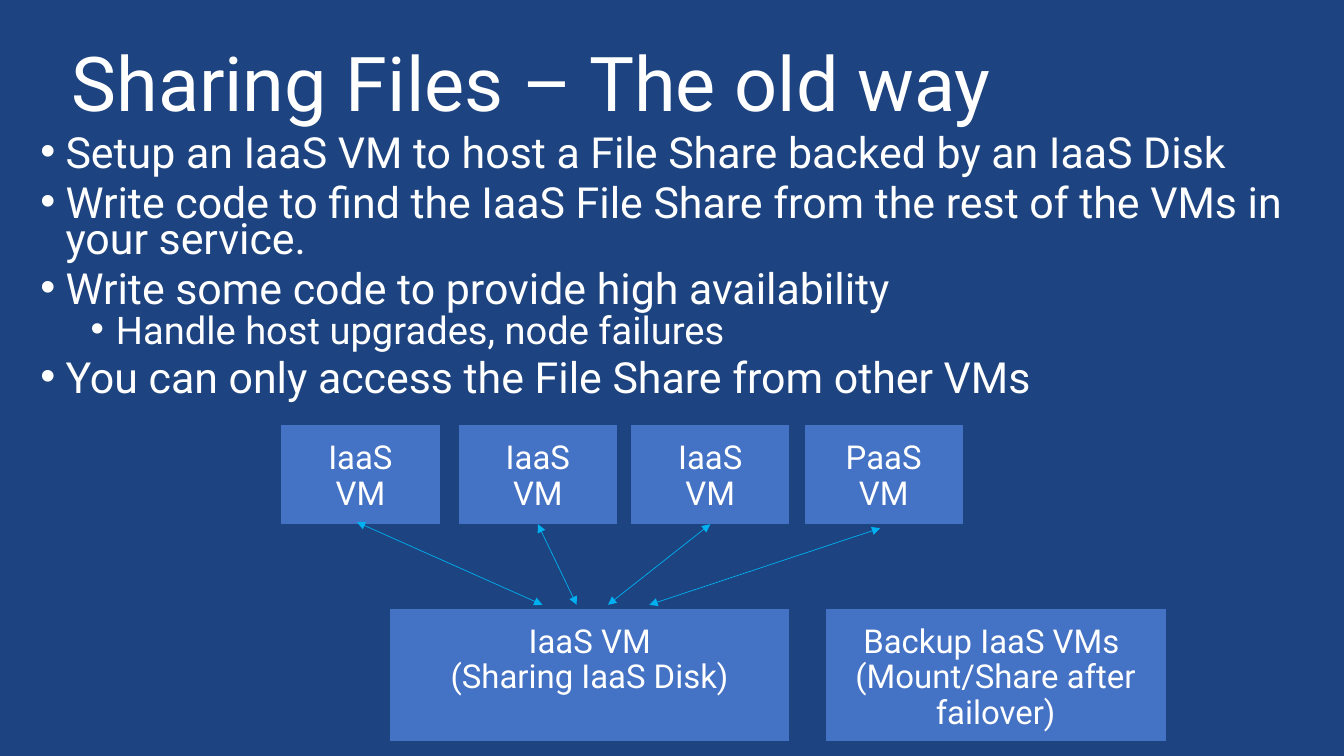
from lxml import etree
from pptx import Presentation
from pptx.dml.color import RGBColor
from pptx.enum.shapes import MSO_CONNECTOR, MSO_SHAPE
from pptx.enum.text import MSO_ANCHOR, MSO_AUTO_SIZE, PP_ALIGN
from pptx.oxml.ns import qn
from pptx.util import Inches, Pt

NAVY = RGBColor(0x1D, 0x43, 0x80)
BLUE = RGBColor(0x44, 0x72, 0xC4)
CYAN = RGBColor(0x00, 0xB0, 0xF0)
WHITE = RGBColor(0xFF, 0xFF, 0xFF)
FONT = "Roboto"

PROCESS = MSO_SHAPE.FLOWCHART_PROCESS
STRAIGHT = MSO_CONNECTOR.STRAIGHT
TOP = MSO_ANCHOR.TOP
NO_AUTOFIT = MSO_AUTO_SIZE.NONE
LEFT, CENTER = PP_ALIGN.LEFT, PP_ALIGN.CENTER
BOTTOM_SITE = 2

TITLE = "Sharing Files – The old way"
BULLETS = [
    (0, "Setup an IaaS VM to host a File Share backed by an IaaS Disk"),
    (0, "Write code to find the IaaS File Share from the rest of the VMs in your service."),
    (0, "Write some code to provide high availability"),
    (1, "Handle host upgrades, node failures"),
    (0, "You can only access the File Share from other VMs"),
]
# Size, space before and left margin of each bullet level
LEVELS = [(30.6, 10, 0.25), (27.2, 5, 0.75)]

CLIENT_TOP, CLIENT_W, CLIENT_H = 4.22, 1.57, 0.98
HOST_TOP, HOST_H = 6.04, 1.31
ARROW_END_Y = 6.0
# Label, box left, arrow start (None joins the box), arrow end x
CLIENTS = [
    ("IaaS VM", 2.79, (3.54, 5.18), 5.38),
    ("IaaS VM", 4.55, None, 5.72),
    ("IaaS VM", 6.26, None, 6.03),
    ("PaaS VM", 7.98, (8.73, 5.24), 6.44),
]


def write(p, text, size, align=LEFT, spacing=0.9, before=0):
    p.text = text
    p.alignment = align
    p.line_spacing = spacing
    p.space_before = Pt(before)
    for r in p.runs:
        r.font.size = Pt(size)
        r.font.name = FONT
        r.font.color.rgb = WHITE


def set_frame(tf, side, top):
    tf.word_wrap = True
    tf.auto_size = NO_AUTOFIT
    tf.vertical_anchor = TOP
    tf.margin_left = tf.margin_right = Inches(side)
    tf.margin_top = tf.margin_bottom = Inches(top)


def place(sp, left, top, width, height):
    sp.left, sp.top = Inches(left), Inches(top)
    sp.width, sp.height = Inches(width), Inches(height)
    set_frame(sp.text_frame, 0.1, 0.09)


def set_bullet(p, margin):
    pPr = p._p.get_or_add_pPr()
    pPr.set("marL", str(Inches(margin)))
    pPr.set("indent", str(Inches(-0.25)))
    etree.SubElement(pPr, qn("a:buFont"), typeface="Arial")
    etree.SubElement(pPr, qn("a:buChar"), char="•")


def fill_bullets(tf):
    for i, (level, text) in enumerate(BULLETS):
        p = tf.add_paragraph() if i else tf.paragraphs[0]
        size, before, margin = LEVELS[level]
        write(p, text, size, spacing=0.7, before=before)
        p.level = level
        set_bullet(p, margin)


def add_box(s, lines, left, top, width, height):
    sp = s.shapes.add_shape(PROCESS, Inches(left), Inches(top), Inches(width), Inches(height))
    sp.shadow.inherit = False
    sp.fill.solid()
    sp.fill.fore_color.rgb = BLUE
    sp.line.fill.background()
    tf = sp.text_frame
    set_frame(tf, 0.2, 0.16)
    for i, text in enumerate(lines):
        p = tf.add_paragraph() if i else tf.paragraphs[0]
        write(p, text, 23.5, align=CENTER)
    return sp


def add_arrow(s, box, start, end):
    """Draw a double-headed arrow, joined to the box when no start is given."""
    x, y = start or (0, 0)
    line = s.shapes.add_connector(STRAIGHT, Inches(x), Inches(y), Inches(end[0]), Inches(end[1]))
    if start is None:
        line.begin_connect(box, BOTTOM_SITE)
    line.line.color.rgb = CYAN
    line.line.width = Pt(0.5)
    ln = line.line._get_or_add_ln()
    for tag in ("a:headEnd", "a:tailEnd"):
        etree.SubElement(ln, qn(tag), type="triangle")
    etree.SubElement(line._element.spPr, qn("a:effectLst"))


def main():
    prs = Presentation()
    prs.slide_width, prs.slide_height = Inches(13.33), Inches(7.5)
    s = prs.slides.add_slide(prs.slide_layouts[1])
    s.background.fill.solid()
    s.background.fill.fore_color.rgb = NAVY

    title, body = s.shapes.title, s.placeholders[1]
    place(title, 0.61, 0.37, 12.12, 1.05)
    write(title.text_frame.paragraphs[0], TITLE, 54)
    place(body, 0.3, 1.3, 12.74, 2.72)
    fill_bullets(body.text_frame)

    for label, left, start, end_x in CLIENTS:
        box = add_box(s, [label], left, CLIENT_TOP, CLIENT_W, CLIENT_H)
        add_arrow(s, box, start, (end_x, ARROW_END_Y))

    add_box(s, ["IaaS VM", "(Sharing IaaS Disk)"], 3.87, HOST_TOP, 3.96, HOST_H)
    add_box(s, ["Backup IaaS VMs \v(Mount/Share after failover)"], 8.19, HOST_TOP, 3.37, HOST_H)
    prs.save("out.pptx")


if __name__ == "__main__":
    main()
